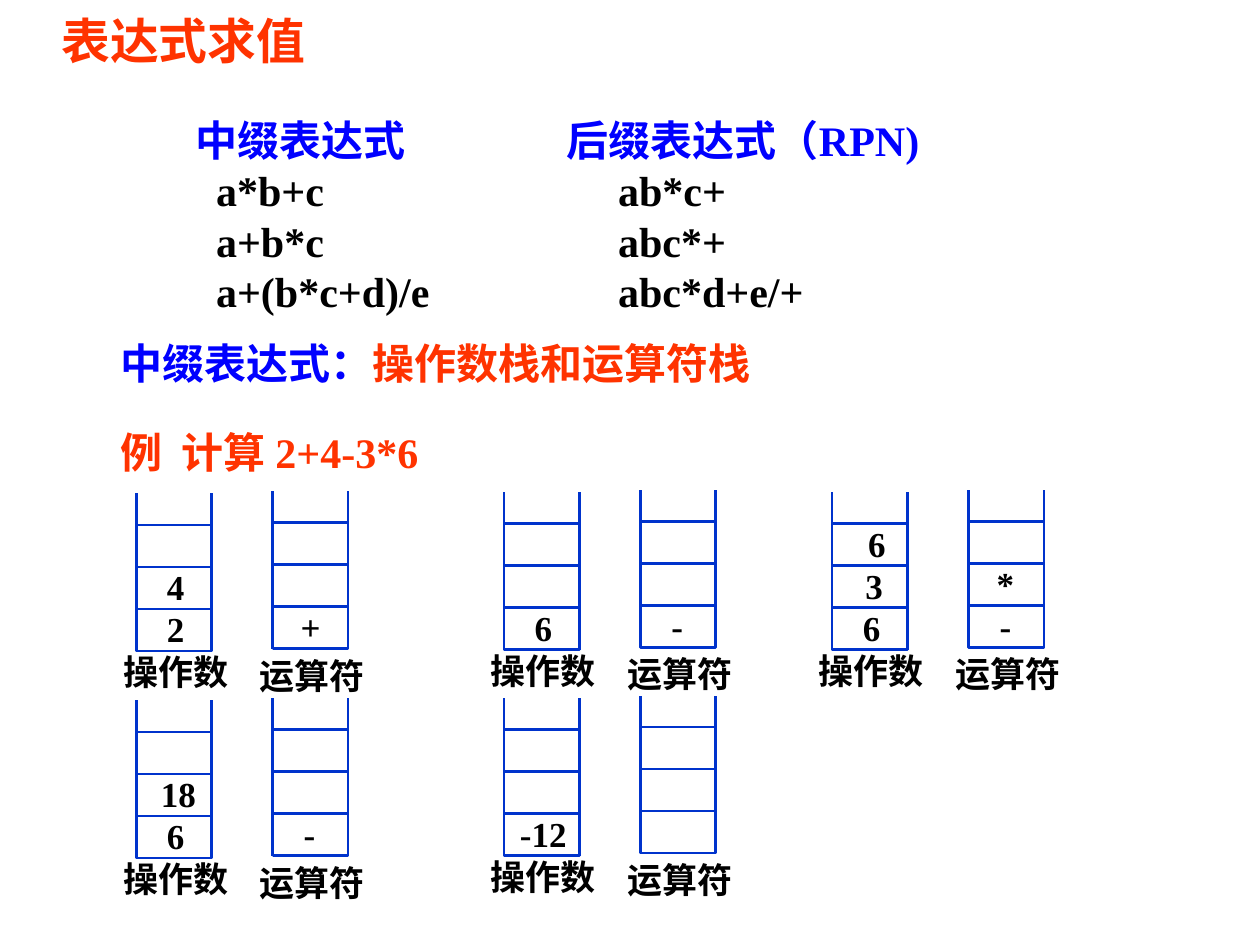
from lxml import etree
from pptx import Presentation
from pptx.dml.color import RGBColor
from pptx.enum import shapes, text
from pptx.oxml import ns
from pptx.util import Pt

RED = RGBColor(0xFF, 0x33, 0x00)
BLUE = RGBColor(0x00, 0x00, 0xFF)
STACK_BLUE = RGBColor(0x00, 0x33, 0xCC)
BLACK = RGBColor(0, 0, 0)
WHITE = RGBColor(0xFF, 0xFF, 0xFF)
CENTER = text.PP_ALIGN.CENTER
LEFT = text.PP_ALIGN.LEFT


def style(run, size, color, font="Times New Roman"):
    run.font.size = Pt(size)
    run.font.bold = True
    run.font.name = font
    run.font.color.rgb = color


def write(parent, words, left, top, width, height, size, color, align=CENTER, wrap=False):
    box = parent.add_textbox(Pt(left), Pt(top), Pt(width), Pt(height))
    frame = box.text_frame
    frame.text = words
    frame.word_wrap = wrap
    frame.auto_size = text.MSO_AUTO_SIZE.SHAPE_TO_FIT_TEXT
    frame.vertical_anchor = text.MSO_ANCHOR.MIDDLE
    for line in frame.paragraphs:
        line.alignment = align
        for run in line.runs:
            style(run, size, color)
    return frame


prs = Presentation()
prs.slide_width, prs.slide_height = Pt(720), Pt(540)
slide = prs.slides.add_slide(prs.slide_layouts[6])

title = slide.shapes.add_textbox(Pt(28), Pt(2.5), Pt(241), Pt(43)).text_frame
title.text = "表达式求值"
title.word_wrap = True
style(title.paragraphs[0].runs[0], 27.9, RED, "Arial")

notations = [
    ("中缀表达式", "后缀表达式（RPN)"),
    ("a*b+c", "ab*c+"),
    ("a+b*c", "abc*+"),
    ("a+(b*c+d)/e", "abc*d+e/+"),
]
notation_lines = "\n".join(f"\t{infix}\t{postfix}" for infix, postfix in notations)
notation = write(slide.shapes, notation_lines, 44.6, 61.8, 500, 122.4, 24, BLACK, LEFT, True)
for row, line in enumerate(notation.paragraphs):
    stops = etree.SubElement(line._p.get_or_add_pPr(), ns.qn("a:tabLst"))
    for stop in (60, 272.3) if row == 0 else (71.8, 301.5):
        etree.SubElement(stops, ns.qn("a:tab"), pos=str(Pt(stop)), algn="l")
for run in notation.paragraphs[0].runs:
    run.font.color.rgb = BLUE

method = write(slide.shapes, "中缀表达式：", 61.6, 189, 374.4, 36, 24, BLUE)
stacks_used = method.paragraphs[0].add_run()
stacks_used.text = "操作数栈和运算符栈"
style(stacks_used, 24, RED)

write(slide.shapes, "例  计算 2+4-3*6", 62, 240.2, 230.4, 36, 24, RED, LEFT, True)

CELL_W, CELL_H, WALL_H = 43, 24, 90
LABEL_W = 90
steps = [
    (77.9, 282, [("2", 1), ("4", 1)], ["+"]),
    (288, 281.3, [("6", 1)], ["-"]),
    (475.5, 281.3, [("6", 1), ("3", 2.5), ("6", 4)], ["-", "*"]),
    (77.9, 400.3, [("6", 1), ("18", 2.5)], ["-"]),
    (288, 398.9, [("-12", 1)], []),
]
for step_left, step_top, operands, operators in steps:
    step = slide.shapes.add_group_shape().shapes
    stacks = [
        ("操作数", step_left, step_top, operands, -4),
        ("运算符", step_left + 78, step_top - 1.4, [(sign, -0.5) for sign in operators], -0.7),
    ]
    for name, left, top, values, label_shift in stacks:
        bottom = top + WALL_H
        for wall_x in (left, left + CELL_W):
            wall = step.add_connector(
                shapes.MSO_CONNECTOR.STRAIGHT, Pt(wall_x), Pt(bottom), Pt(wall_x), Pt(top))
            wall.line.color.rgb = STACK_BLUE
            wall.line.width = Pt(1.5)
            etree.SubElement(wall._element.spPr, ns.qn("a:effectLst"))
        for level in range(1, 4):
            cell = step.add_shape(
                shapes.MSO_SHAPE.RECTANGLE,
                Pt(left), Pt(bottom - level * CELL_H), Pt(CELL_W), Pt(CELL_H))
            cell.shadow.inherit = False
            cell.fill.solid()
            cell.fill.fore_color.rgb = WHITE
            cell.line.color.rgb = STACK_BLUE
            cell.line.width = Pt(1.5)
        write(step, name, left + (CELL_W - LABEL_W) / 2 + 1, bottom + label_shift,
              LABEL_W, 31.7, 20, BLACK)
        for level, (value, shift) in enumerate(values, 1):
            width = 14.4 + 10 * len(value)
            write(step, value, left + (CELL_W - width) / 2 + shift,
                  bottom - level * CELL_H - 4.5, width, 31.7, 20, BLACK)

prs.save("out.pptx")
